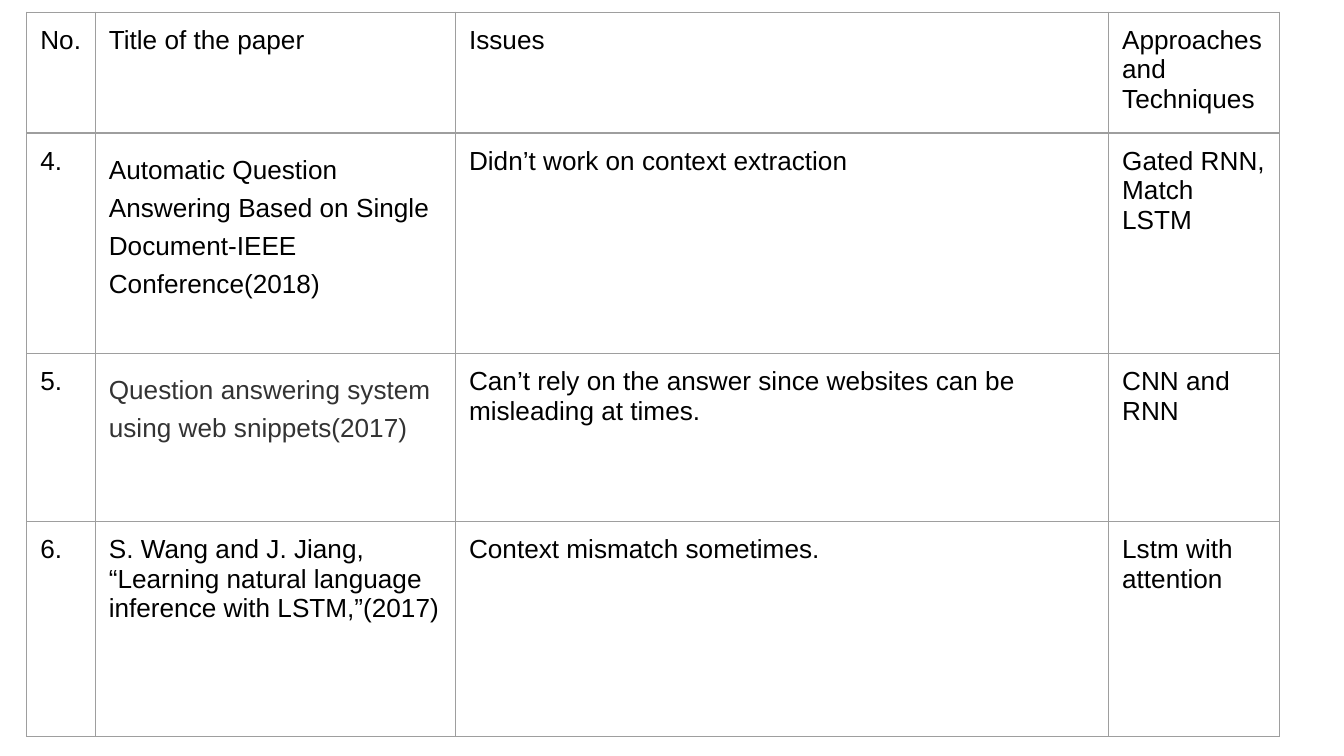
import pptx
import pptx.util
import pptx.dml.color
import pptx.oxml
import pptx.oxml.ns
from pptx.util import Inches

COLORS = {"text": "000000", "muted": "333333", "border": "9E9E9E"}
FONT, SIZE = "Arial", 14
LOOSE = 1.3

COL_WIDTHS = [0.51, 2.68, 4.86, 1.27]
ROW_HEIGHTS = [0.9, 1.64, 1.25, 1.6]
HEADER = ["No.", "Title of the paper", "Issues", "Approaches and Techniques"]
PAPERS = [
    ["4.", "Automatic Question Answering Based on Single Document-IEEE Conference(2018)",
     "Didn’t work on context extraction", "Gated RNN,\nMatch LSTM"],
    ["5.", "Question answering system using web snippets(2017)",
     "Can’t rely on the answer since websites can be misleading at times.",
     "CNN and RNN"],
    ["6.", "S. Wang and J. Jiang, “Learning natural language inference with LSTM,”(2017)",
     "Context mismatch sometimes.", "Lstm with attention"],
]
# Cells set apart from the rest: (row, column) -> (color, line spacing)
SPECIAL = {(1, 1): ("text", LOOSE), (2, 1): ("muted", LOOSE)}


def set_borders(cell, color, width):
    tc_pr = cell._tc.get_or_add_tcPr()
    for i, side in enumerate(("lnL", "lnR", "lnT", "lnB")):
        tc_pr.insert(i, pptx.oxml.parse_xml(
            f'<a:{side} {pptx.oxml.ns.nsdecls("a")} w="{pptx.util.Pt(width)}">'
            f'<a:solidFill><a:srgbClr val="{color}"/></a:solidFill></a:{side}>'))


def fill_cell(cell, text, color="text", spacing=None):
    cell.fill.background()
    set_borders(cell, COLORS["border"], 0.75)
    cell.margin_left = cell.margin_right = Inches(0.1)
    cell.margin_top = cell.margin_bottom = Inches(0.1)
    tf = cell.text_frame
    for i, line in enumerate(text.split("\n")):
        p = tf.add_paragraph() if i else tf.paragraphs[0]
        if spacing:
            p.line_spacing = spacing
        r = p.add_run()
        r.text = line
        r.font.name = FONT
        r.font.size = pptx.util.Pt(SIZE)
        r.font.color.rgb = pptx.dml.color.RGBColor.from_string(COLORS[color])


def add_paper_table(s, left, top):
    rows = [HEADER] + PAPERS
    table = s.shapes.add_table(
        len(rows), len(HEADER), Inches(left), Inches(top),
        Inches(sum(COL_WIDTHS)), Inches(sum(ROW_HEIGHTS))).table
    table.first_row = table.horz_banding = False
    for col, width in zip(table.columns, COL_WIDTHS):
        col.width = Inches(width)
    for row, height in zip(table.rows, ROW_HEIGHTS):
        row.height = Inches(height)
    for i, row in enumerate(rows):
        for j, text in enumerate(row):
            fill_cell(table.cell(i, j), text, *SPECIAL.get((i, j), ()))


# Widescreen slide, 16:9
prs = pptx.Presentation()
prs.slide_width = Inches(10)
prs.slide_height = Inches(10 * 9 / 16)
s = prs.slides.add_slide(prs.slide_layouts[6])

# Literature survey table
add_paper_table(s, 0.2, 0.09)

prs.save("out.pptx")
